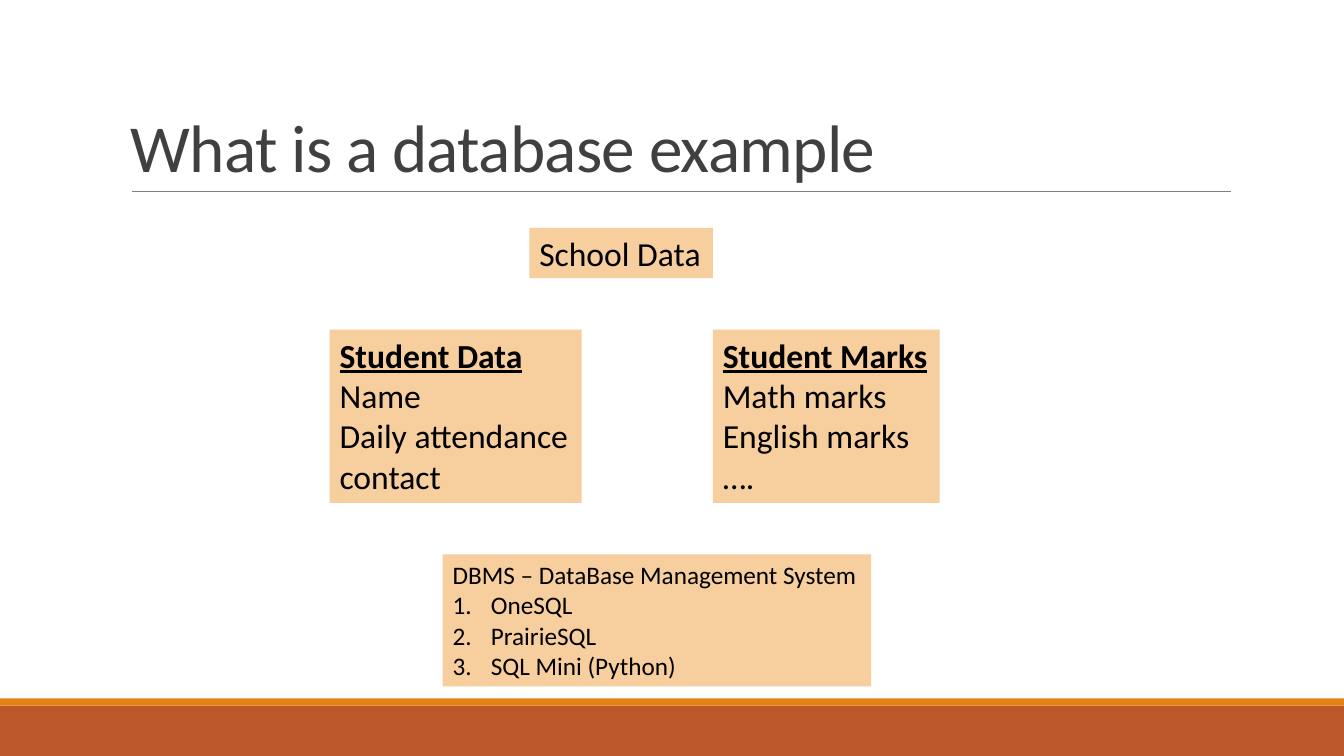
from pptx import Presentation
from pptx.dml.color import RGBColor
from pptx.enum.shapes import MSO_CONNECTOR, MSO_SHAPE
from pptx.enum.text import MSO_ANCHOR, MSO_AUTO_SIZE, PP_ALIGN
from pptx.oxml.ns import qn
from pptx.util import Inches, Pt
from lxml.etree import SubElement


def color(code):
    return RGBColor.from_string(code)


class Deck:
    font = "Calibri"
    ink = "000000"
    sand = "F7CE9D"

    def __init__(self):
        self.prs = Presentation()
        self.prs.slide_width = Inches(13.33)
        self.prs.slide_height = Inches(7.5)
        self.slide = self.prs.slides.add_slide(self.prs.slide_layouts[6])

    def rect(self, left, top, width, height, fill):
        shape = self.slide.shapes.add_shape(
            MSO_SHAPE.RECTANGLE, Inches(left), Inches(top),
            Inches(width), Inches(height))
        shape.shadow.inherit = False
        shape.fill.solid()
        shape.fill.fore_color.rgb = color(fill)
        shape.line.fill.background()
        return shape

    def rule(self, left, right, top, tint, width):
        line = self.slide.shapes.add_connector(
            MSO_CONNECTOR.STRAIGHT, Inches(left), Inches(top),
            Inches(right), Inches(top))
        line.line.color.rgb = color(tint)
        line.line.width = Pt(width)
        SubElement(line._element.spPr, qn("a:effectLst"))

    def run(self, para, text, size, tint, strong=False):
        run = para.add_run()
        run.text = text
        run.font.name = self.font
        run.font.size = Pt(size)
        run.font.color.rgb = color(tint)
        run.font.bold = run.font.underline = strong
        return run

    def title(self, text, left, top, width, height):
        box = self.slide.shapes.add_textbox(
            Inches(left), Inches(top), Inches(width), Inches(height))
        frame = box.text_frame
        frame.word_wrap = True
        frame.vertical_anchor = MSO_ANCHOR.BOTTOM
        para = frame.paragraphs[0]
        para.line_spacing = 0.85
        run = self.run(para, text, 48, "404040")
        run.font._element.set("spc", "-50")

    def number(self, para):
        props = para._p.get_or_add_pPr()
        props.set("marL", str(Inches(0.38)))
        props.set("indent", str(-Inches(0.38)))
        SubElement(props, qn("a:buFont"), typeface="+mj-lt")
        SubElement(props, qn("a:buAutoNum"), type="arabicPeriod")

    def card(self, spot, lines, size=24, head=False, listed=False):
        frame = self.rect(*spot, self.sand).text_frame
        frame.word_wrap = False
        frame.auto_size = MSO_AUTO_SIZE.SHAPE_TO_FIT_TEXT
        frame.vertical_anchor = MSO_ANCHOR.TOP
        for row, text in enumerate(lines):
            para = frame.add_paragraph() if row else frame.paragraphs[0]
            para.alignment = PP_ALIGN.LEFT
            if listed and row:
                self.number(para)
            self.run(para, text, size, self.ink, head and row == 0)


def main():
    deck = Deck()

    # Footer bands and title rule
    deck.rect(0, 7, 13.33, 0.5, "BD582C")
    deck.rect(0, 6.93, 13.33, 0.07, "E48312")
    deck.rule(1.31, 12.21, 1.9, "808080", 0.5)

    # Title
    deck.title("What is a database example", 1.2, 0.31, 11, 1.59)

    # School data and its two tables
    deck.card((5.25, 2.26, 1.82, 0.5), ["School Data"])
    deck.card((3.27, 3.27, 2.5, 1.72),
              ["Student Data", "Name", "Daily attendance", "contact"],
              head=True)
    deck.card((7.07, 3.27, 2.25, 1.72),
              ["Student Marks", "Math marks", "English marks", "…."],
              head=True)

    # Database systems
    deck.card((4.39, 5.5, 4.25, 1.31),
              ["DBMS – DataBase Management System", "OneSQL",
               "PrairieSQL", "SQL Mini (Python)"],
              size=18, listed=True)

    deck.prs.save("out.pptx")


if __name__ == "__main__":
    main()
